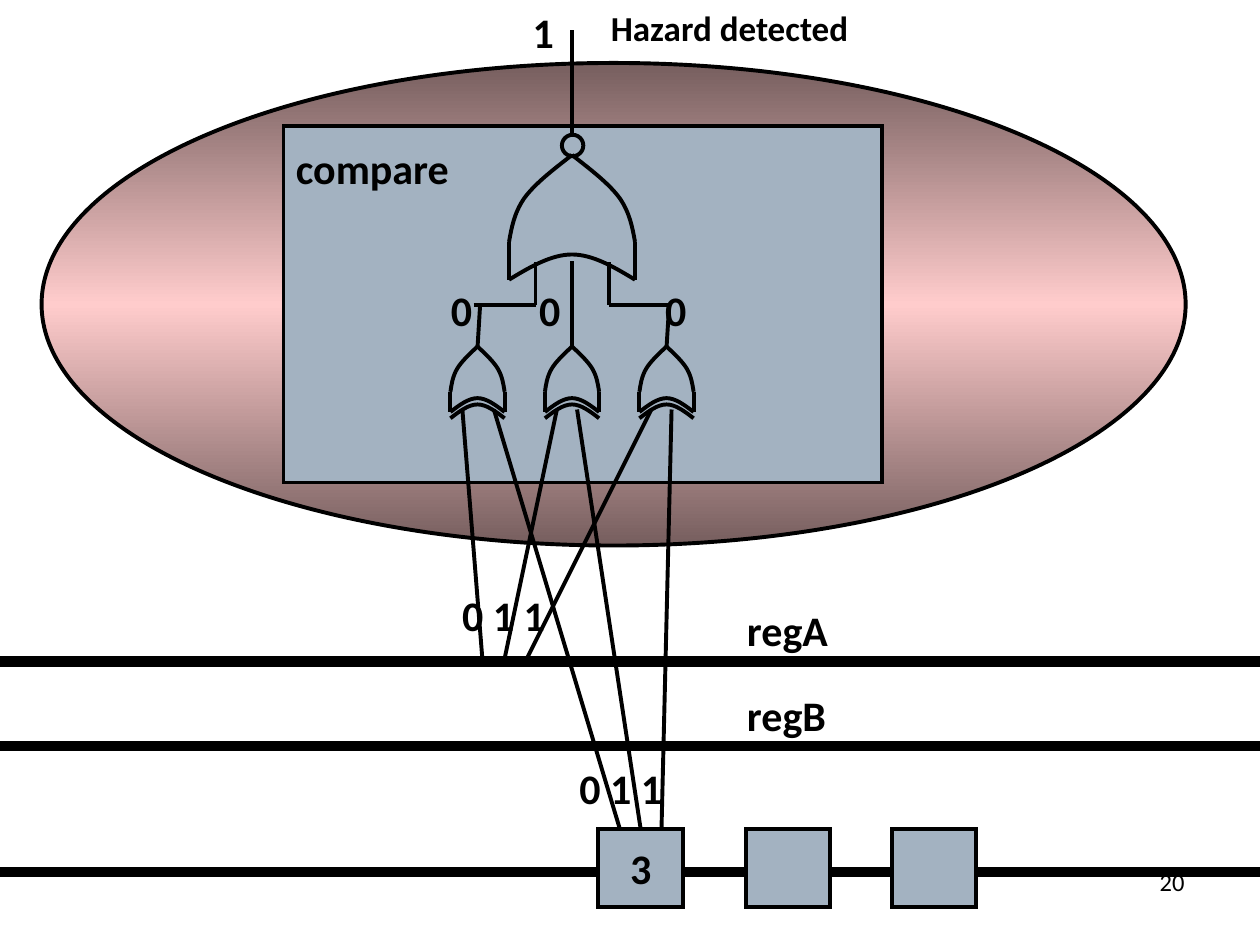
from copy import deepcopy

from lxml.etree import SubElement
from pptx import Presentation
from pptx.dml.color import RGBColor
from pptx.enum.shapes import MSO_CONNECTOR, MSO_SHAPE
from pptx.enum.text import MSO_ANCHOR, MSO_AUTO_SIZE, PP_ALIGN
from pptx.oxml.ns import qn
from pptx.util import Inches, Pt

color = RGBColor.from_string
BLACK, PANEL = "000000", "A3B2C1"
THIN, BUS = 2.25, 6

presentation = Presentation()
presentation.slide_width = Inches(10)
presentation.slide_height = Inches(7.5)
slide = presentation.slides.add_slide(presentation.slide_layouts[6])
slide.background.fill.solid()
slide.background.fill.fore_color.rgb = color("FFFFFF")


def draw_line(shapes, x1, y1, x2, y2, width=THIN):
    line = shapes.add_connector(
        MSO_CONNECTOR.STRAIGHT, Inches(x1), Inches(y1), Inches(x2), Inches(y2))
    line.line.color.rgb = color(BLACK)
    line.line.width = Pt(width)
    SubElement(line._element.spPr, qn("a:effectLst"))
    return line


def draw_curve(shapes, points):
    """Draw an open outline of two cubic curves given by seven points."""
    points = [(Inches(x), Inches(y)) for x, y in points]
    builder = shapes.build_freeform(*points[0])
    builder.add_line_segments(points[1:], close=False)
    curve = builder.convert_to_shape()
    segments = curve._element.xpath(".//a:lnTo")
    outline = segments[0].getparent()
    for first in (0, 3):
        cubic = SubElement(outline, qn("a:cubicBezTo"))
        for segment in segments[first:first + 3]:
            cubic.append(segment[0])
            outline.remove(segment)
    curve.shadow.inherit = False
    curve.fill.background()
    curve.line.color.rgb = color(BLACK)
    curve.line.width = Pt(THIN)


# Slide number, below everything else
number_box = slide.shapes.add_textbox(Inches(7.17), Inches(6.83), Inches(2.33), Inches(0.52))
number_box.text_frame.word_wrap = True
paragraph = number_box.text_frame.paragraphs[0]
paragraph.text = "20"
paragraph.alignment = PP_ALIGN.RIGHT
paragraph.font.size = Pt(14)
paragraph.font.name = "Calibri"
paragraph.font.color.rgb = color(BLACK)

# Register buses, behind the boxes
for start, end, y in ((0, 10, 5.92), (0, 10, 5.25), (0, 4.75, 6.92), (5.42, 10, 6.92)):
    draw_line(slide.shapes, start, y, end, y, BUS)

# Hazard ellipse, compare panel, output bubble and pipeline boxes
parts = []
for preset, left, top, width, height, fill in (
    (MSO_SHAPE.OVAL, 0.33, 0.5, 9.08, 3.83, None),
    (MSO_SHAPE.RECTANGLE, 2.25, 1, 4.75, 2.83, PANEL),
    (MSO_SHAPE.OVAL, 4.46, 1.07, 0.17, 0.17, None),
    (MSO_SHAPE.RECTANGLE, 4.75, 6.58, 0.67, 0.62, PANEL),
    (MSO_SHAPE.RECTANGLE, 5.92, 6.58, 0.67, 0.62, PANEL),
    (MSO_SHAPE.RECTANGLE, 7.08, 6.58, 0.67, 0.62, PANEL),
):
    shape = slide.shapes.add_shape(
        preset, Inches(left), Inches(top), Inches(width), Inches(height))
    shape.shadow.inherit = False
    shape.line.color.rgb = color(BLACK)
    shape.line.width = Pt(THIN)
    SubElement(shape._element.xpath(".//a:ln")[0], qn("a:miter"), lim="800000")
    if fill:
        shape.fill.solid()
        shape.fill.fore_color.rgb = color(fill)
    else:
        shape.fill.background()
    parts.append(shape)
hazard_ellipse, register_box = parts[0], parts[3]

hazard_ellipse.fill.gradient()
hazard_ellipse.fill.gradient_angle = 90
stop_list = hazard_ellipse._element.xpath(".//a:gsLst")[0]
stop_list.insert(1, deepcopy(stop_list[0]))
for stop, position, shade in zip(
        hazard_ellipse.fill.gradient_stops, (0, 0.5, 1), ("765E5E", "FFCCCC", "765E5E")):
    stop.position = position
    stop.color.rgb = color(shade)

frame = register_box.text_frame
frame.word_wrap = False
frame.vertical_anchor = MSO_ANCHOR.MIDDLE
paragraph = frame.paragraphs[0]
paragraph.text = "3"
paragraph.alignment = PP_ALIGN.CENTER
paragraph.font.size = Pt(24)
paragraph.font.bold = True
paragraph.font.name = "Calibri"
paragraph.font.color.rgb = color(BLACK)

# Gates: one NOR gate above three grouped XOR gates with a second base curve
side = ((1, 1), (0.96, 0.84), (0.92, 0.67), (0.76, 0.5), (0.59, 0.33), (0.3, 0.17), (0, 0))
base = ((-1, 0), (-0.67, 0.5), (-0.33, 1), (0, 1), (0.33, 1), (0.67, 0.5), (1, 0))
for center, width, tip, shoulder, bottom, arch, base_shifts in (
    (4.54, 1, 1.23, 1.92, 2.22, 0.2, (0,)),
    (3.79, 0.43, 2.75, 3.11, 3.27, 0.11, (0, 0.05)),
    (4.54, 0.43, 2.75, 3.11, 3.27, 0.11, (0, 0.05)),
    (5.29, 0.43, 2.75, 3.11, 3.27, 0.11, (0, 0.05)),
):
    half = width / 2
    is_xor = len(base_shifts) == 2
    gate = slide.shapes.add_group_shape().shapes if is_xor else slide.shapes
    for sign in (-1, 1):
        edge = center + sign * half
        draw_line(gate, edge, bottom, edge, shoulder)
        draw_curve(gate, [(center + sign * half * x, tip + (shoulder - tip) * y)
                          for x, y in side])
    for shift in base_shifts:
        draw_curve(gate, [(center + half * x, bottom + shift - arch * y) for x, y in base])

# Wires between the gates and up to the output
for ends in (
    (4.54, 1.07, 4.54, 0.24),
    (4.54, 2.75, 4.54, 2.07),
    (3.79, 2.76, 3.81, 2.43),
    (3.76, 2.42, 4.25, 2.42),
    (4.25, 2.42, 4.25, 2.08),
    (5.29, 2.76, 5.31, 2.44),
    (4.83, 2.42, 5.32, 2.42),
    (4.83, 2.42, 4.83, 2.08),
):
    draw_line(slide.shapes, *ends)

# Wires from regA and from the register box to the XOR inputs
for start, end in ((3.83, 3.67), (4, 4.42), (4.17, 5.17)):
    draw_line(slide.shapes, start, 5.25, end, 3.25)
for start, end in ((4.92, 3.92), (5.08, 4.58), (5.25, 5.33)):
    wire = draw_line(slide.shapes, start, 6.58, end, 3.25)
    if start == 5.08:
        wire.begin_connect(register_box, 0)

# Labels; tab stops place the digits beside the XOR outputs
for text, left, top, width, height, size, alignment, tabs in (
    ("Hazard detected", 4.58, 0, 2.42, 0.43, 20, PP_ALIGN.CENTER, ()),
    ("1", 4.13, 0, 0.37, 0.5, 24, PP_ALIGN.LEFT, ()),
    ("compare", 2.25, 1.08, 1.44, 0.5, 24, PP_ALIGN.LEFT, ()),
    ("0\t0\t0", 3.48, 2.21, 2.07, 0.5, 24, PP_ALIGN.LEFT, (0.7, 1.7)),
    ("0 1 1", 3.57, 4.63, 0.87, 0.5, 24, PP_ALIGN.LEFT, ()),
    ("0 1 1", 4.5, 6, 0.87, 0.5, 24, PP_ALIGN.LEFT, ()),
    ("regA", 5.83, 4.75, 0.85, 0.5, 24, PP_ALIGN.LEFT, ()),
    ("regB", 5.83, 5.42, 0.84, 0.5, 24, PP_ALIGN.LEFT, ()),
):
    label = slide.shapes.add_textbox(Inches(left), Inches(top), Inches(width), Inches(height))
    frame = label.text_frame
    frame.auto_size = MSO_AUTO_SIZE.SHAPE_TO_FIT_TEXT
    frame.word_wrap = bool(tabs) or alignment == PP_ALIGN.CENTER
    paragraph = frame.paragraphs[0]
    paragraph.text = text
    paragraph.alignment = alignment
    if tabs:
        tab_list = SubElement(paragraph._p.get_or_add_pPr(), qn("a:tabLst"))
        for position in tabs:
            SubElement(tab_list, qn("a:tab"), pos=str(Inches(position)), algn="l")
    paragraph.font.size = Pt(size)
    paragraph.font.bold = True
    paragraph.font.name = "Calibri"
    paragraph.font.color.rgb = color(BLACK)

presentation.save("out.pptx")
